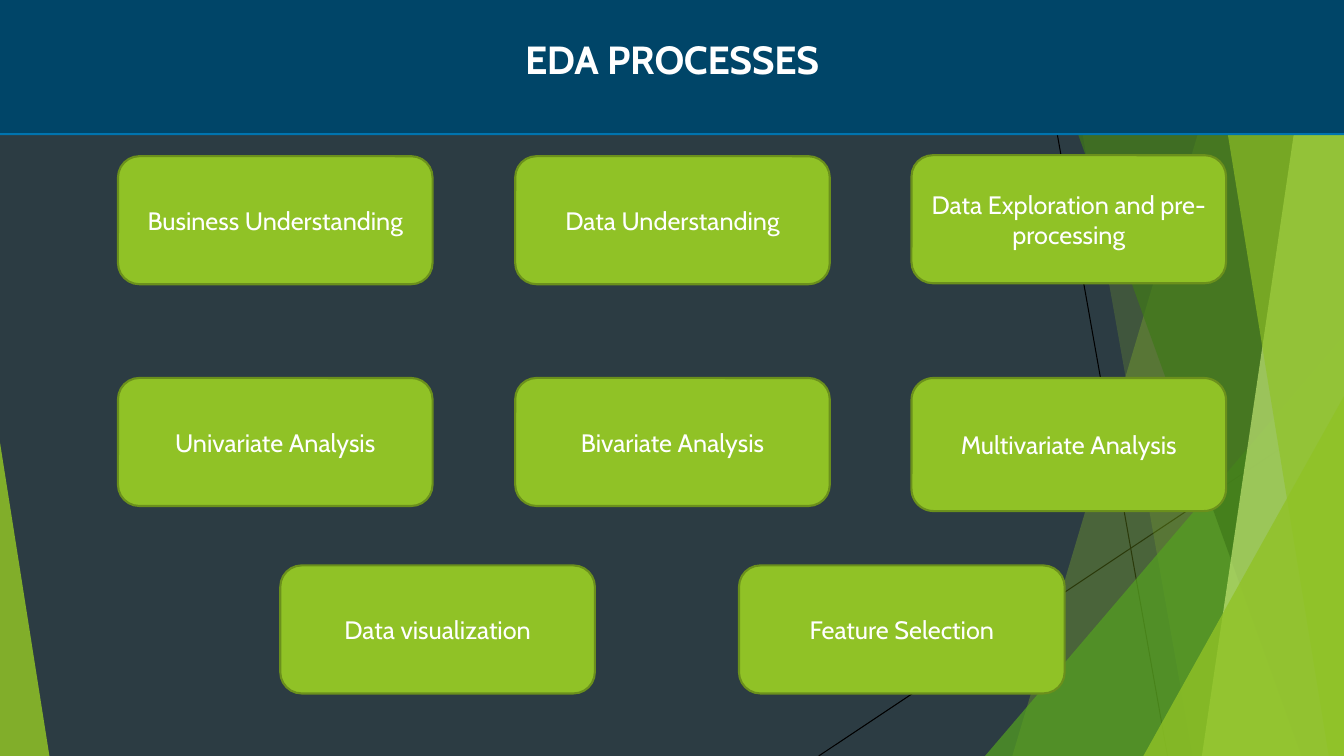
from dataclasses import dataclass

from lxml.etree import SubElement
from pptx import Presentation
from pptx.dml.color import RGBColor
from pptx.enum.shapes import MSO_CONNECTOR, MSO_SHAPE
from pptx.enum.text import MSO_ANCHOR, PP_ALIGN
from pptx.oxml.ns import qn
from pptx.util import Inches, Pt

BLACK = RGBColor(0x00, 0x00, 0x00)
WHITE = RGBColor(0xFF, 0xFF, 0xFF)
SLATE = RGBColor(0x2C, 0x3C, 0x43)
LIME = RGBColor(0x90, 0xC2, 0x26)
PALE_LIME = RGBColor(0xC0, 0xE4, 0x74)
LEAF = RGBColor(0x54, 0xA0, 0x21)
FOREST = RGBColor(0x3F, 0x78, 0x19)
OLIVE = RGBColor(0x6B, 0x90, 0x1C)
BLUE = RGBColor(0x00, 0x74, 0xAF)
NAVY = RGBColor(0x00, 0x45, 0x68)

FONT = "Cabin"
WIDTH, HEIGHT = 13.33, 7.5
TOP = -0.01
BOX_W, BOX_H = 3.12, 1.27
COLUMNS = (1.17, 5.11, 9.04)
ROWS = (1.55, 3.75, 5.61)


@dataclass
class Ray:
    """A stripe down to the slide bottom, bounded on the right by the edge."""
    top_x: float
    bottom_x: float
    color: RGBColor
    alpha: int


@dataclass
class Wedge:
    """A right triangle standing on the slide bottom."""
    x: float
    y: float
    w: float
    apex: float
    color: RGBColor
    alpha: int


@dataclass
class Step:
    text: str
    x: float
    y: float
    w: float = BOX_W
    h: float = BOX_H


# Back to front
FACETS = [
    Ray(12.28, 10.04, LIME, 30),
    Ray(10.5, 11.83, LIME, 20),
    Wedge(9.77, 3.33, 3.56, 1, LEAF, 72),
    Ray(10.21, 12.91, FOREST, 70),
    Ray(13.03, 11.92, PALE_LIME, 70),
    Ray(11.96, 13.18, LIME, 65),
    Wedge(11.34, 3.93, 1.99, 1, LIME, 80),
    Wedge(0, 4.39, 0.49, 0, LIME, 85),
]
HAIRLINES = [(10.25, 0, 11.58, HEIGHT), (WIDTH, 4.03, 8.12, HEIGHT)]

STEPS = [
    Step("Business Understanding", COLUMNS[0], ROWS[0]),
    Step("Data Understanding", COLUMNS[1], ROWS[0]),
    Step("Data Exploration and pre-processing", COLUMNS[2], ROWS[0] - 0.01),
    Step("Univariate Analysis", COLUMNS[0], ROWS[1]),
    Step("Bivariate Analysis", COLUMNS[1], ROWS[1]),
    Step("Multivariate Analysis", COLUMNS[2], ROWS[1], h=1.32),
    Step("Data visualization", 2.78, ROWS[2]),
    Step("Feature Selection", 7.33, ROWS[2], w=3.23),
]


def paint(sp, color: RGBColor, alpha: int = 100, line: RGBColor | None = None) -> None:
    sp.shadow.inherit = False
    sp.fill.solid()
    sp.fill.fore_color.rgb = color
    if alpha < 100:
        clr = sp._element.spPr.find(f"{qn('a:solidFill')}/{qn('a:srgbClr')}")
        SubElement(clr, qn("a:alpha"), val=str(alpha * 1000))
    if line is None:
        sp.line.fill.background()
    else:
        sp.line.color.rgb = line
        sp.line.width = Pt(1.5)


def add_box(s, kind: MSO_SHAPE, x: float, y: float, w: float, h: float):
    return s.shapes.add_shape(kind, Inches(x), Inches(y), Inches(w), Inches(h))


def write(sp, text: str, *, size: float, bold: bool = False,
          line_spacing: float | None = None, tracking: int | None = None) -> None:
    tf = sp.text_frame
    tf.word_wrap = True
    tf.vertical_anchor = MSO_ANCHOR.MIDDLE
    p = tf.paragraphs[0]
    p.alignment = PP_ALIGN.CENTER
    p.line_spacing = line_spacing
    r = p.add_run()
    r.text = text
    r.font.name = FONT
    r.font.size = Pt(size)
    r.font.bold = bold
    r.font.color.rgb = WHITE
    if tracking is not None:
        r.font._element.set("spc", str(tracking))


def add_hairline(s, x1: float, y1: float, x2: float, y2: float) -> None:
    line = s.shapes.add_connector(
        MSO_CONNECTOR.STRAIGHT, Inches(x1), Inches(y1), Inches(x2), Inches(y2))
    line.line.color.rgb = BLACK
    line.line.width = Pt(0.75)
    SubElement(line._element.spPr, qn("a:effectLst"))


def add_ray(s, ray: Ray) -> None:
    corners = [(WIDTH, TOP), (WIDTH, HEIGHT), (ray.bottom_x, HEIGHT)]
    outline = s.shapes.build_freeform(Inches(ray.top_x), Inches(TOP))
    outline.add_line_segments([(Inches(x), Inches(y)) for x, y in corners])
    paint(outline.convert_to_shape(), ray.color, ray.alpha)


def add_wedge(s, wedge: Wedge) -> None:
    sp = add_box(s, MSO_SHAPE.ISOSCELES_TRIANGLE,
                 wedge.x, wedge.y, wedge.w, HEIGHT - wedge.y)
    sp.adjustments[0] = wedge.apex
    paint(sp, wedge.color, wedge.alpha)


def add_step(s, step: Step) -> None:
    sp = add_box(s, MSO_SHAPE.ROUNDED_RECTANGLE, step.x, step.y, step.w, step.h)
    paint(sp, LIME, line=OLIVE)
    write(sp, step.text, size=18)


def main() -> None:
    prs = Presentation()
    prs.slide_width, prs.slide_height = Inches(WIDTH), Inches(HEIGHT)
    s = prs.slides.add_slide(prs.slide_layouts[6])
    s.background.fill.solid()
    s.background.fill.fore_color.rgb = SLATE

    # Faceted backdrop
    for ends in HAIRLINES:
        add_hairline(s, *ends)
    for facet in FACETS:
        if isinstance(facet, Ray):
            add_ray(s, facet)
        else:
            add_wedge(s, facet)

    # Title band with its blue edge
    paint(add_box(s, MSO_SHAPE.RECTANGLE, 0, 0, WIDTH, 1.34), BLUE)
    title = add_box(s, MSO_SHAPE.RECTANGLE, 0, -0.08, WIDTH, 1.4)
    paint(title, NAVY)
    write(title, "EDA PROCESSES", size=28, bold=True, line_spacing=0.85, tracking=-20)

    # Process steps
    for step in STEPS:
        add_step(s, step)

    prs.save("out.pptx")


if __name__ == "__main__":
    main()
